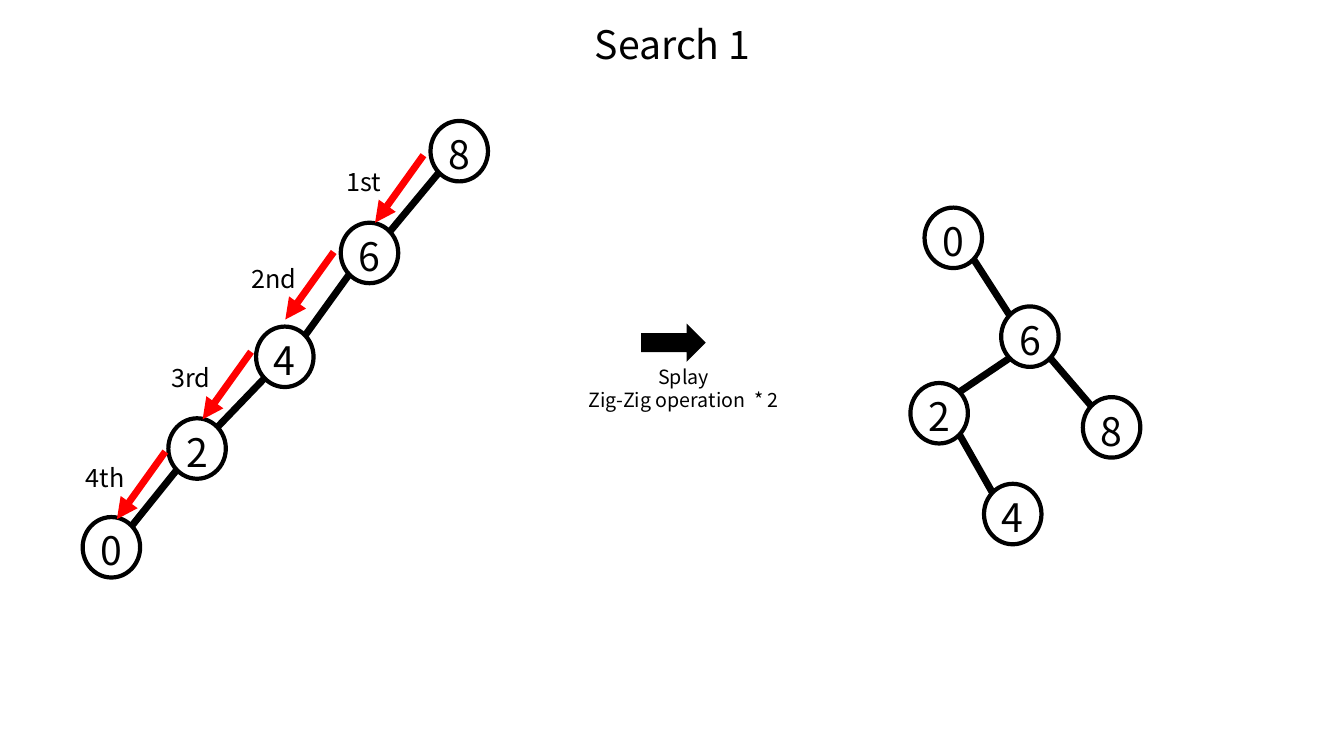
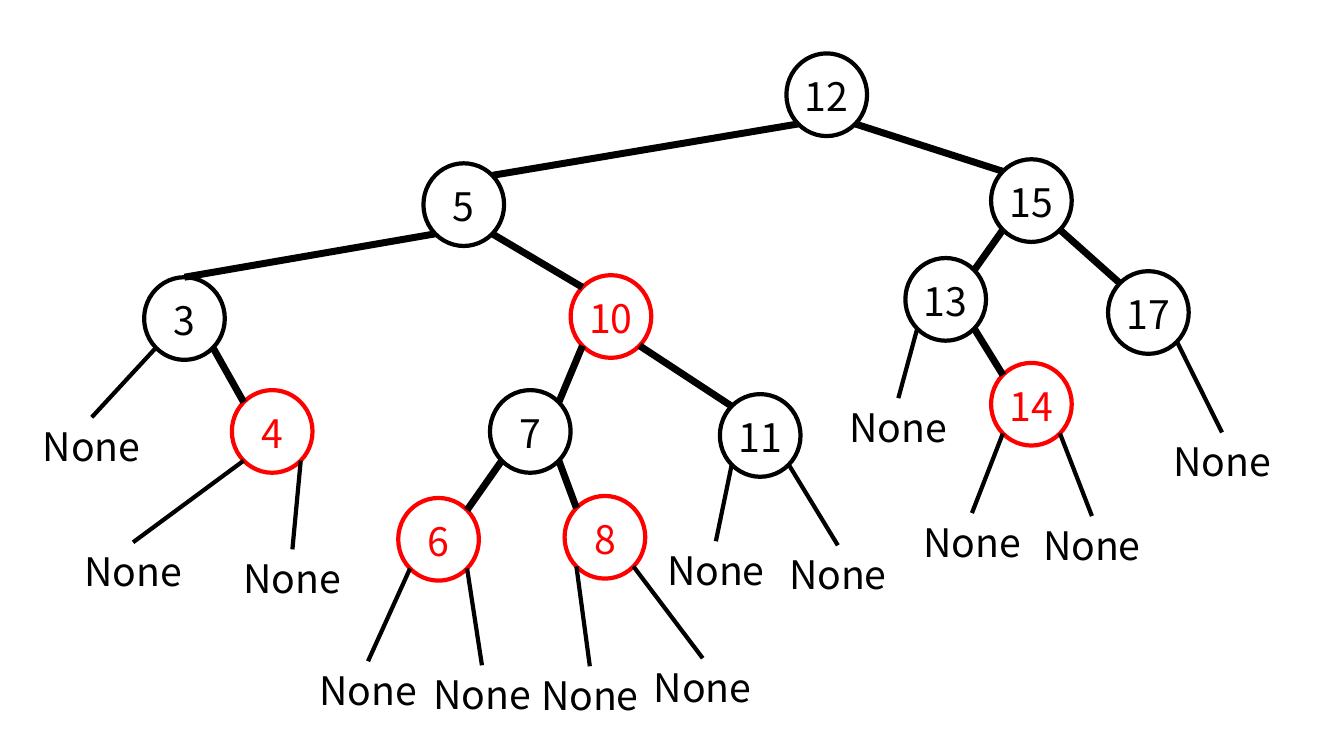
from dataclasses import dataclass
from math import sqrt

from lxml.etree import SubElement
from pptx import Presentation
from pptx.dml.color import RGBColor
from pptx.enum.shapes import MSO_CONNECTOR as CONNECTOR, MSO_SHAPE as SHAPE
from pptx.enum.text import MSO_ANCHOR as ANCHOR, PP_ALIGN as ALIGN
from pptx.oxml.ns import qn
from pptx.util import Inches, Pt

COLORS = {"black": "000000", "red": "FF0000"}
FONT = "Noto Sans CJK KR"
LARGE, MEDIUM, SMALL = 28, 18, 14
THIN, THICK = 3, 5
NEAR = (1 - 1 / sqrt(2)) / 2  # diagonal point of an ellipse, as a share of its box
FAR = 1 - NEAR


@dataclass
class Node:
    left: float
    top: float
    width: float
    height: float

    def point(self, across, down):
        return self.left + across * self.width, self.top + down * self.height

    def exit_towards(self, x):
        """Lower diagonal point on the side of x."""
        return self.point(NEAR if x < self.left + self.width / 2 else FAR, FAR)

    def entry_from(self, x):
        """Upper diagonal point on the side of x."""
        return self.point(NEAR if x < self.left + self.width / 2 else FAR, NEAR)


def color(name):
    return RGBColor.from_string(COLORS[name])


def write(text_frame, text, size, color_name="black"):
    text_frame.text = text
    for paragraph in text_frame.paragraphs:
        paragraph.alignment = ALIGN.CENTER
        for run in paragraph.runs:
            run.font.name = FONT
            run.font.size = Pt(size)
            run.font.color.rgb = color(color_name)


def add_label(slide, text, left, top, width, height, size=LARGE):
    box = slide.shapes.add_textbox(*map(Inches, (left, top, width, height)))
    box.text_frame.word_wrap = True
    write(box.text_frame, text, size)


def add_line(slide, start, end, width=THICK, color_name="black", arrow=False):
    line = slide.shapes.add_connector(CONNECTOR.STRAIGHT, *map(Inches, (*start, *end)))
    line.line.color.rgb = color(color_name)
    line.line.width = Pt(width)
    if arrow:
        SubElement(line.line._get_or_add_ln(), qn("a:tailEnd"), type="triangle")
    SubElement(line._element.spPr, qn("a:effectLst"))


def add_node(slide, text, node, inset, color_name="black"):
    shape = slide.shapes.add_shape(
        SHAPE.OVAL, *map(Inches, (node.left, node.top, node.width, node.height)))
    shape.shadow.inherit = False
    shape.fill.background()
    shape.line.color.rgb = color(color_name)
    shape.line.width = Pt(THIN)
    frame = shape.text_frame
    frame.word_wrap = False
    frame.vertical_anchor = ANCHOR.MIDDLE
    frame.margin_left = frame.margin_right = frame.margin_bottom = 0
    frame.margin_top = Inches(inset)
    write(frame, text, LARGE, color_name)


def add_tree(slide, places, edges, size, inset, red=()):
    """Draw nodes from {key: (left, top)} and edges from (parent, child) pairs."""
    nodes = {key: Node(*place, *size) for key, place in places.items()}
    for key, node in nodes.items():
        add_node(slide, str(key), node, inset, "red" if key in red else "black")
    for parent, child in edges:
        upper, lower = nodes[parent], nodes[child]
        add_line(slide, upper.exit_towards(lower.left), lower.entry_from(upper.left))
    return nodes


def add_step(slide, text, x, y):
    """Draw a red search arrow starting at (x, y), with its label."""
    add_line(slide, (x, y), (x - 0.48, y + 0.67), color_name="red", arrow=True)
    add_label(slide, text, x - 1.09, y + 0.06, 0.99, 0.33, MEDIUM)


def add_none_leaf(slide, parent, x, y):
    add_line(slide, parent.exit_towards(x), (x, y), THIN)
    add_label(slide, "None", x - 0.6, y, 1.2, 0.5)


def add_splay_arrow(slide):
    arrow = slide.shapes.add_shape(
        SHAPE.RIGHT_ARROW, *map(Inches, (6.36, 3.21, 0.64, 0.38)))
    arrow.shadow.inherit = False
    arrow.fill.solid()
    arrow.fill.fore_color.rgb = color("black")
    arrow.line.fill.background()
    add_label(slide, "Splay\nZig-Zig operation  * 2", 5.52, 3.57, 2.52, 0.57, SMALL)


def build_search_slide(slide):
    size, inset = (0.57, 0.6), 0.06
    add_label(slide, "Search 1", 5.28, 0.15, 2.78, 0.57)
    before = {8: (4.27, 1.2), 6: (3.38, 2.21), 4: (2.54, 3.24),
              2: (1.67, 4.15), 0: (0.82, 5.13)}
    add_tree(slide, before, [(8, 6), (6, 4), (4, 2), (2, 0)], size, inset)
    steps = [("1st", 4.2, 1.54), ("2nd", 3.31, 2.5),
             ("3rd", 2.49, 3.49), ("4th", 1.64, 4.48)]
    for step in steps:
        add_step(slide, *step)
    add_splay_arrow(slide)
    after = {0: (9.17, 2.06), 6: (9.93, 3.04), 2: (9.03, 3.8),
             8: (10.74, 3.94), 4: (9.76, 4.8)}
    add_tree(slide, after, [(0, 6), (6, 2), (6, 8), (2, 4)], size, inset)


def build_red_black_slide(slide):
    places = {
        12: (7.8, 0.53), 5: (4.2, 1.62), 15: (9.83, 1.58), 3: (1.43, 2.75),
        10: (5.66, 2.73), 13: (8.98, 2.56), 17: (10.99, 2.69), 4: (2.3, 3.87),
        7: (4.86, 3.87), 11: (7.14, 3.91), 14: (9.83, 3.6), 6: (3.95, 4.94),
        8: (5.6, 4.92),
    }
    edges = [(12, 5), (12, 15), (5, 10), (15, 13), (15, 17), (3, 4),
             (10, 7), (10, 11), (13, 14), (7, 6), (7, 8)]
    nodes = add_tree(slide, places, edges, (0.8, 0.82), 0.03, red=(4, 6, 8, 10, 14))
    add_line(slide, nodes[5].exit_towards(nodes[3].left), nodes[3].point(0.5, 0))
    leaves = [
        (3, 0.91, 4.14), (4, 1.32, 5.38), (4, 2.9, 5.45), (6, 3.65, 6.56),
        (6, 4.78, 6.6), (8, 5.85, 6.61), (8, 6.97, 6.53), (11, 7.1, 5.37),
        (11, 8.31, 5.41), (13, 8.91, 3.95), (14, 9.64, 5.09), (14, 10.83, 5.12),
        (17, 12.12, 4.29),
    ]
    # Some leaves hang below the far side of their parent, so the side is given.
    left_side = {(8, 5.85)}
    for key, x, y in leaves:
        parent = nodes[key]
        if (key, x) in left_side:
            parent = Node(parent.left, parent.top, parent.width, parent.height)
        add_none_leaf(slide, parent, x, y)


def main():
    presentation = Presentation()
    presentation.slide_width = Inches(13.33)
    presentation.slide_height = Inches(7.5)
    for build in (build_search_slide, build_red_black_slide):
        build(presentation.slides.add_slide(presentation.slide_layouts[6]))
    presentation.save("out.pptx")


if __name__ == "__main__":
    main()
